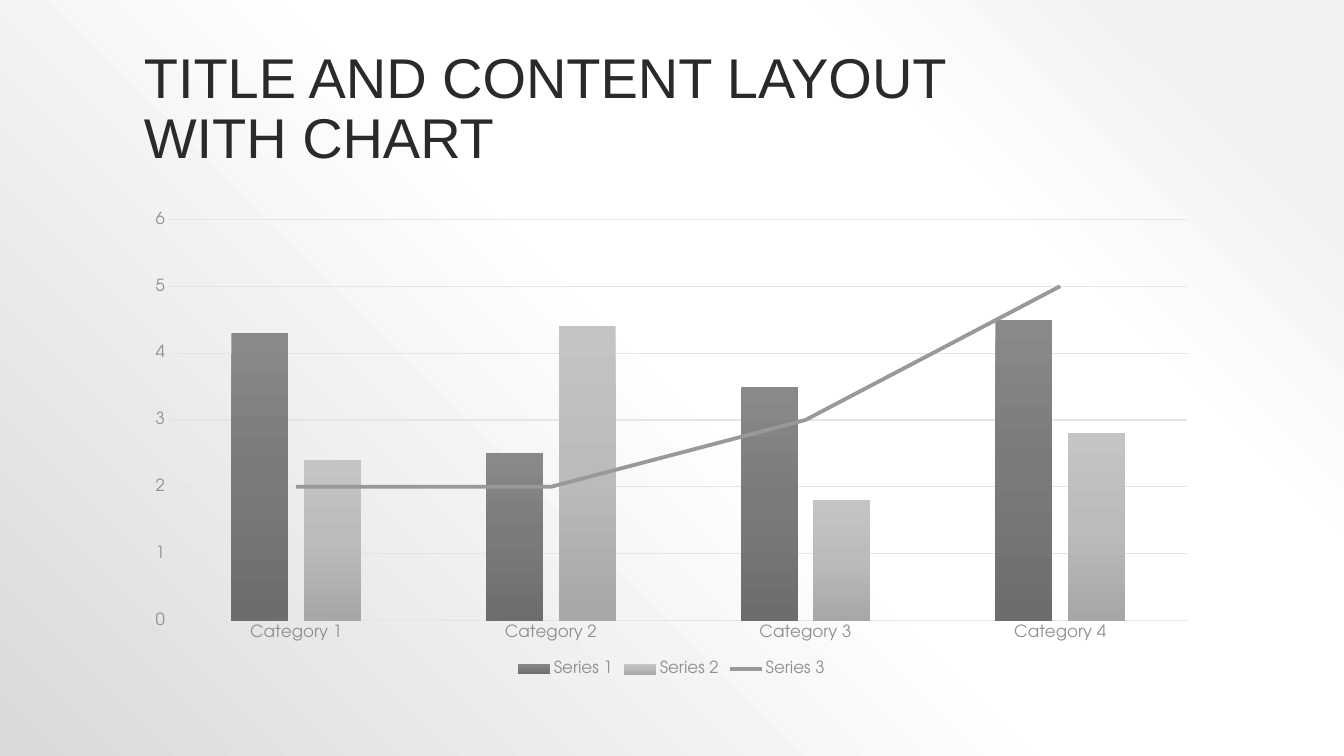
from lxml import etree
from pptx import Presentation
from pptx import util as u
from pptx.chart.data import CategoryChartData
from pptx.dml.color import RGBColor
from pptx.enum import chart as ch
from pptx.enum import text
from pptx.oxml import parse_xml
from pptx.oxml.ns import nsdecls, qn

WIDE, HIGH = 1344, 756
SCALE = 12192000 / WIDE
FACE = "TeX Gyre Adventor"
CATS = ["Category 1", "Category 2", "Category 3", "Category 4"]
DATA = {
    "Series 1": [4.3, 2.5, 3.5, 4.5],
    "Series 2": [2.4, 4.4, 1.8, 2.8],
    "Series 3": [2, 2, 3, 5],
}
BARS = [
    [(0, "898989"), (50, "7A7A7A"), (100, "6D6D6D")],
    [(0, "C4C4C4"), (50, "BBBBBB"), (100, "A7A7A7")],
]
BACK = [(10, "F2F2F2"), (28, "FFFFFF"), (48, "FFFFFF"), (100, "D9D9D9")]
DOWN = '<a:lin ang="5400000" scaled="0"/>'
ROUND = '<a:path path="circle"><a:fillToRect l="100000" b="100000"/></a:path>'


def px(*nums):
    """Turn pixel lengths into EMU."""
    return [u.Emu(round(n * SCALE)) for n in nums]


def tint(color, code):
    """Set a colour from a hex string."""
    color.rgb = RGBColor.from_string(code)


def style(font, size, code, face):
    """Set size, colour and face of a font."""
    font.size, font.name = u.Pt(size), face
    tint(font.color, code)


def rule(line, code, width):
    """Set colour and width of a line."""
    tint(line.color, code)
    line.width = u.Pt(width)


def blend(stops, shade):
    """Return a gradient fill element."""
    marks = "".join(
        f'<a:gs pos="{pos * 1000}"><a:srgbClr val="{code}"/></a:gs>'
        for pos, code in stops
    )
    return parse_xml(
        f'<a:gradFill {nsdecls("a")} rotWithShape="1">'
        f"<a:gsLst>{marks}</a:gsLst>{shade}</a:gradFill>"
    )


def paint(slide):
    """Give the slide a round gradient background."""
    back = parse_xml(f'<p:bg {nsdecls("p", "a")}><p:bgPr><a:effectLst/></p:bgPr></p:bg>')
    back[0].insert(0, blend(BACK, ROUND))
    slide.element.cSld.insert(0, back)


def title(slide, words, box):
    """Add the heading."""
    frame = slide.shapes.add_textbox(*px(*box)).text_frame
    frame.word_wrap = True
    frame.vertical_anchor = text.MSO_ANCHOR.BOTTOM
    frame.text = words
    para = frame.paragraphs[0]
    para.line_spacing = 0.9
    style(para.font, 40, "2A2A2A", "Arial")


def trend(plot):
    """Move the last column series to a line plot on the same axes."""
    ser = plot.series[len(plot.series) - 1]._element
    root = ser.getparent()
    for flag in ser.findall(qn("c:invertIfNegative")):
        ser.remove(flag)
    node = parse_xml(
        f'<c:lineChart {nsdecls("c")}><c:grouping val="standard"/>'
        '<c:varyColors val="0"/><c:marker val="1"/></c:lineChart>'
    )
    node.insert(2, ser)
    for axis in root.findall(qn("c:axId")):
        etree.SubElement(node, qn("c:axId")).set("val", axis.get("val"))
    root.addnext(node)


def axes(chart):
    """Style both axes and the grid."""
    for axis in (chart.category_axis, chart.value_axis):
        axis.major_tick_mark = axis.minor_tick_mark = ch.XL_TICK_MARK.NONE
        style(axis.tick_labels.font, 12, "909090", FACE)
    rule(chart.category_axis.format.line, "E5E5E5", 1)
    scale = chart.value_axis
    scale.minimum_scale, scale.maximum_scale, scale.major_unit = 0, 6, 1
    scale.format.line.fill.background()
    rule(scale.major_gridlines.format.line, "E5E5E5", 0.75)


def graph(slide, box):
    """Add the column and line chart."""
    data = CategoryChartData()
    data.categories = CATS
    for name, vals in DATA.items():
        data.add_series(name, vals)
    kind = ch.XL_CHART_TYPE.COLUMN_CLUSTERED
    chart = slide.shapes.add_chart(kind, *px(*box), data).chart
    style(chart.font, 10, "545454", FACE)
    chart.has_title = False
    chart.has_legend = True
    chart.legend.position = ch.XL_LEGEND_POSITION.BOTTOM
    chart.legend.include_in_layout = False
    style(chart.legend.font, 12, "909090", FACE)
    axes(chart)
    plot = chart.plots[0]
    plot.gap_width, plot.overlap, plot.vary_by_categories = 219, -27, False
    trend(plot)
    for ser, stops in zip(plot.series, BARS):
        ser.format.fill.solid()
        props = ser._element.find(qn("c:spPr"))
        props.replace(props.find(qn("a:solidFill")), blend(stops, DOWN))
    line = chart.plots[1].series[0]
    line.smooth = False
    line.marker.style = ch.XL_MARKER_STYLE.NONE
    rule(line.format.line, "999999", 2.75)


def main():
    """Build and save the slide."""
    deck = Presentation()
    deck.slide_width, deck.slide_height = px(WIDE, HIGH)
    slide = deck.slides.add_slide(deck.slide_layouts[6])
    paint(slide)
    title(slide, "TITLE AND CONTENT LAYOUT \vWITH CHART", (134, 30, 1075, 146))
    graph(slide, (134, 202, 1075, 479))
    deck.save("out.pptx")


if __name__ == "__main__":
    main()
